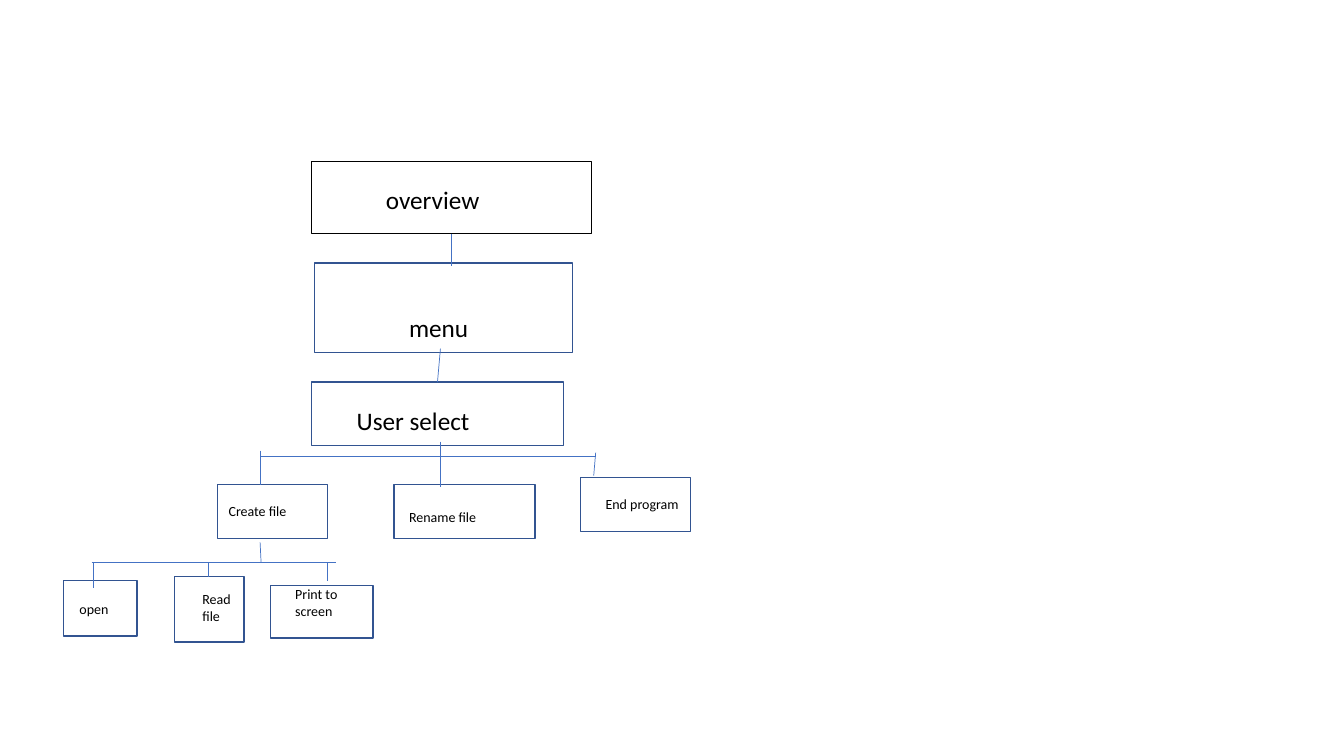
from pptx import Presentation
from pptx.dml.color import RGBColor
from pptx.enum.shapes import MSO_CONNECTOR as Line, MSO_SHAPE as Shape
from pptx.enum.text import MSO_AUTO_SIZE as AutoSize
from pptx.oxml.ns import qn
from pptx.util import Pt
from lxml.etree import SubElement

COLORS = {"text": "000000", "root": "000000", "node": "325491", "link": "4472C4"}
SIZES = {"main": 18, "branch": 10}

# label, text size, outline colour, box, label frame (left, top, width, height)
NODES = [
    ("overview", "main", "root", (222.5, 115.2, 200.2, 51.8), (268.6, 128.2, 133.9, 28.8)),
    ("menu", "main", "node", (224.6, 187.9, 184.3, 64.1), (285.1, 219.6, 117.4, 28.8)),
    ("User select", "main", "node", (222.5, 272.9, 180, 45.4), (247.7, 285.8, 133.9, 28.8)),
    ("Create file", "branch", "node", (155.5, 346.3, 78.5, 38.2), (156.2, 355.7, 59, 19.4)),
    ("Rename file", "branch", "node", (281.5, 346.3, 100.8, 38.2), (285.1, 360, 75.6, 19.4)),
    ("End program", "branch", "node", (414.7, 341.3, 78.5, 38.2), (425.5, 350.6, 67.7, 19.4)),
    ("open", "branch", "node", (45.4, 414.7, 52.6, 39.6), (49.7, 425.5, 41.8, 19.4)),
    ("Read file", "branch", "node", (124.6, 411.8, 49.7, 46.8), (137.5, 418.3, 36.7, 31.7)),
    ("Print to screen", "branch", "node", (193, 418.3, 73.4, 37.4), (203.8, 414.7, 60.5, 31.7)),
]

# Links from the trunk down to the user's choice
TRUNK = [(322.6, 167, 322.6, 190.1), (314.6, 249.1, 312.5, 272.9)]
CHOICE_RAIL, FILE_RAIL = 326.2, 401.8
CHOICES = [
    (314.6, 315.4, 314.6, 329),
    (185.8, CHOICE_RAIL, 425.5, CHOICE_RAIL),
    (185.8, 321.8, 185.8, 346.3),
    (314.6, 328.3, 314.6, 347.8),
    (425.5, 323.3, 424.1, 339.8),
]
FILE_RAIL_LINKS = [(185.8, 387.4, 186.5, FILE_RAIL), (65.5, FILE_RAIL, 239.8, FILE_RAIL)]
FILE_DROPS = [(x, FILE_RAIL, x, end) for x, end in [(67, 419.8), (149, 411.8), (234, 414.7)]]


class Chart:
    """Hold the diagram style and the current slide."""

    def __init__(self, page, font="Calibri"):
        """Keep the slide and font."""
        self.page = page
        self.font = font

    def outline(self, line, color, width):
        """Set the colour and width of a line."""
        line.color.rgb = RGBColor.from_string(COLORS[color])
        line.width = Pt(width)

    def box(self, frame, color):
        """Draw an unfilled rectangle."""
        box = self.page.shapes.add_shape(Shape.RECTANGLE, *map(Pt, frame))
        box.shadow.inherit = False
        box.fill.background()
        self.outline(box.line, color, 1)

    def label(self, words, frame, size):
        """Write a label in its own text box."""
        text = self.page.shapes.add_textbox(*map(Pt, frame)).text_frame
        text.word_wrap = True
        text.auto_size = AutoSize.SHAPE_TO_FIT_TEXT
        span = text.paragraphs[0].add_run()
        span.text = words
        for name, value in {"name": self.font, "size": Pt(SIZES[size])}.items():
            setattr(span.font, name, value)
        span.font.color.rgb = RGBColor.from_string(COLORS["text"])

    def link(self, ends):
        """Draw a thin straight line without a shadow."""
        link = self.page.shapes.add_connector(Line.STRAIGHT, *map(Pt, ends))
        self.outline(link.line, "link", 0.5)
        SubElement(link._element.spPr, qn("a:effectLst"))


def main():
    """Build and save the program overview."""
    deck = Presentation()
    deck.slide_width, deck.slide_height = Pt(960), Pt(540)
    chart = Chart(deck.slides.add_slide(deck.slide_layouts[6]))
    for words, size, color, box, frame in NODES:
        chart.box(box, color)
        chart.label(words, frame, size)
    for ends in TRUNK + CHOICES + FILE_RAIL_LINKS + FILE_DROPS:
        chart.link(ends)
    deck.save("out.pptx")


main()
